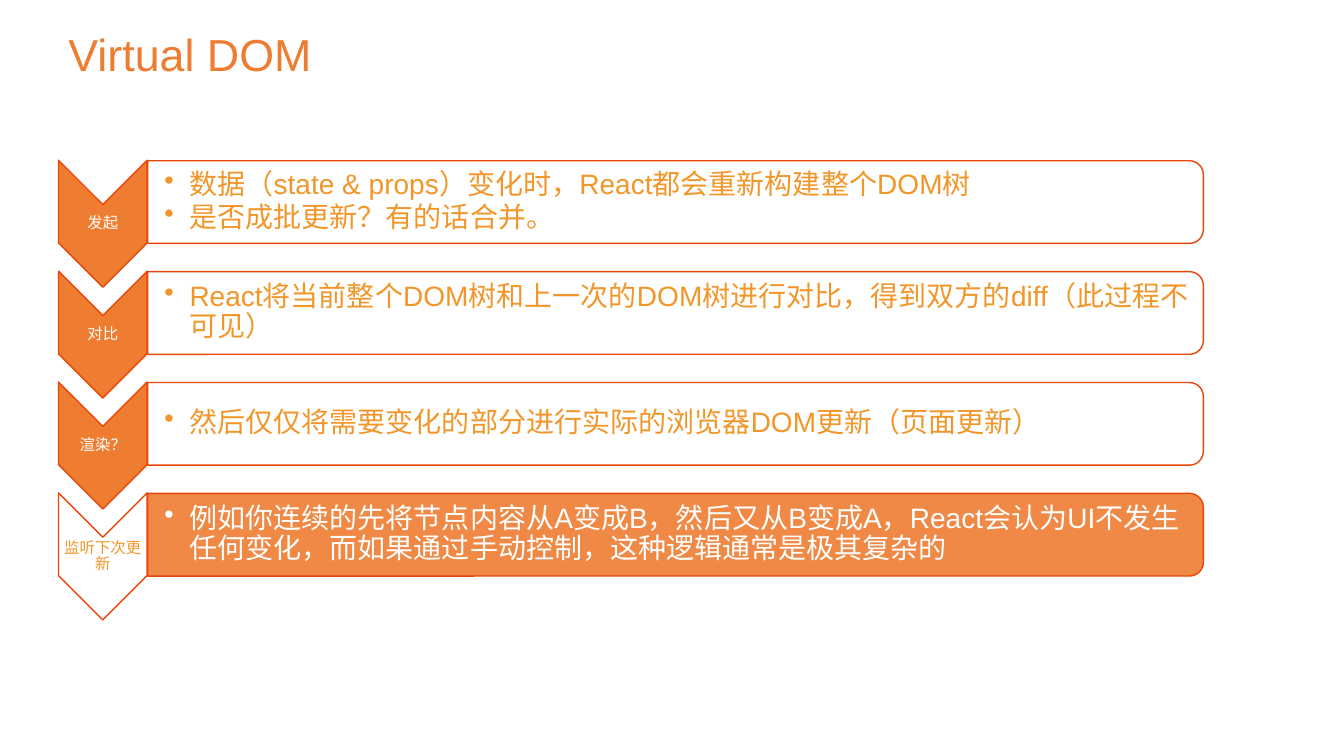
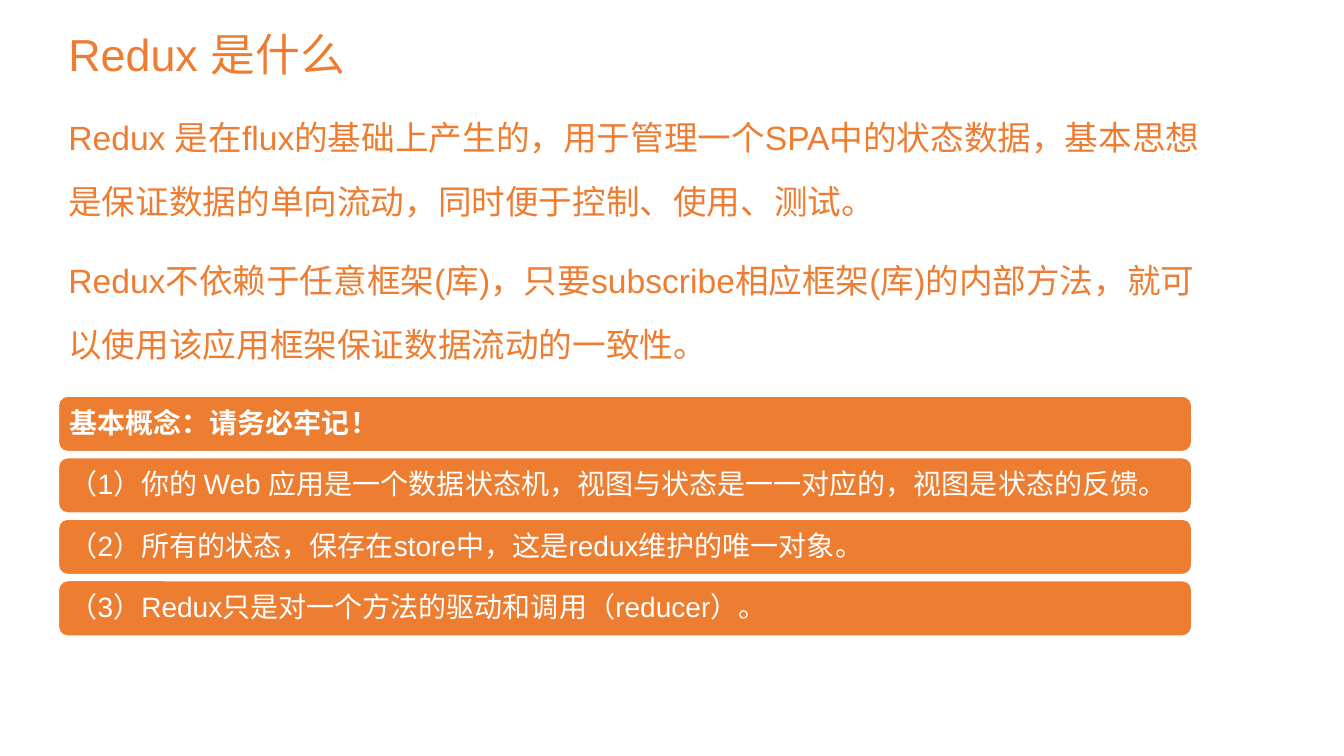
from dataclasses import dataclass

import lxml.etree
import pptx
import pptx.dml.color
import pptx.enum.lang
import pptx.enum.shapes
import pptx.enum.text
import pptx.oxml.ns
import pptx.util

SCALE = 9144  # EMU in one px, 100 px to the inch
FONT = "Arial"
HEX = {
    "main": "EE7D31",
    "row": "ED7D31",
    "edge": "E84709",
    "note": "F29629",
    "white": "FFFFFF",
}
SHAPE = pptx.enum.shapes.MSO_SHAPE
ALIGN = pptx.enum.text.PP_ALIGN
ANCHOR = pptx.enum.text.MSO_ANCHOR


@dataclass(frozen=True)
class Box:
    left: int
    top: int
    width: int
    height: int

    def emu(self) -> list[int]:
        return [n * SCALE for n in (self.left, self.top, self.width, self.height)]

    def turned(self) -> "Box":
        """The frame that fills this box once rotated by 90 degrees."""
        shift = (self.width - self.height) // 2
        return Box(self.left + shift, self.top - shift, self.height, self.width)


@dataclass(frozen=True)
class Step:
    label: str
    notes: tuple[str, ...]
    arrow: str = "main"
    ink: str = "white"
    bar: str = "white"
    text: str = "note"


STEPS = (
    Step("发起", ("数据（state & props）变化时，React都会重新构建整个DOM树",
                "是否成批更新？有的话合并。")),
    Step("对比", ("React将当前整个DOM树和上一次的DOM树进行对比，得到双方的diff（此过程不可见）",)),
    Step("渲染？", ("然后仅仅将需要变化的部分进行实际的浏览器DOM更新（页面更新）",)),
    Step("监听下次更新",
         ("例如你连续的先将节点内容从A变成B，然后又从B变成A，React会认为UI不发生任何变化，"
          "而如果通过手动控制，这种逻辑通常是极其复杂的",),
         arrow="white", ink="note", bar="main", text="white"),
)
INTRO = (
    "Redux 是在flux的基础上产生的，用于管理一个SPA中的状态数据，基本思想是保证数据的单向流动，"
    "同时便于控制、使用、测试。",
    "Redux不依赖于任意框架(库)，只要subscribe相应框架(库)的内部方法，"
    "就可以使用该应用框架保证数据流动的一致性。",
)
ROWS = (
    "基本概念：请务必牢记！",
    "（1）你的 Web 应用是一个数据状态机，视图与状态是一一对应的，视图是状态的反馈。",
    "（2）所有的状态，保存在store中，这是redux维护的唯一对象。",
    "（3）Redux只是对一个方法的驱动和调用（reducer）。",
)


def tint(name: str) -> pptx.dml.color.RGBColor:
    return pptx.dml.color.RGBColor.from_string(HEX[name])


def mark(para) -> None:
    """Give a paragraph a hanging bullet."""
    props = para._p.get_or_add_pPr()
    props.set("marL", str(25 * SCALE))
    props.set("indent", str(-25 * SCALE))
    lxml.etree.SubElement(props, pptx.oxml.ns.qn("a:buChar")).set("char", "•")


def write(slide, box: Box, *lines: str, size: int, color: str = "main",
          bold: bool = False, bullet: bool = False, lead: float = 0.9,
          before: int = 0, after: int = 0, align=ALIGN.LEFT,
          anchor=ANCHOR.MIDDLE, pad: tuple[int, ...] = (10, 5, 10, 5)) -> None:
    frame = slide.shapes.add_textbox(*box.emu()).text_frame
    frame.word_wrap = True
    frame.vertical_anchor = anchor
    (frame.margin_left, frame.margin_top,
     frame.margin_right, frame.margin_bottom) = [n * SCALE for n in pad]
    for num, line in enumerate(lines):
        para = frame.add_paragraph() if num else frame.paragraphs[0]
        para.alignment = align
        para.line_spacing = lead
        para.space_before = pptx.util.Pt(before)
        para.space_after = pptx.util.Pt(after)
        if bullet:
            mark(para)
        run = para.add_run()
        run.text = line
        run.font.name = FONT
        run.font.size = pptx.util.Pt(size)
        run.font.bold = bold
        run.font.color.rgb = tint(color)
        run.font.language_id = pptx.enum.lang.MSO_LANGUAGE_ID.SIMPLIFIED_CHINESE


def draw(slide, kind, box: Box, fill: str, line: str,
         turn: bool = False, alpha: int = 100) -> None:
    frame = box.turned() if turn else box
    shape = slide.shapes.add_shape(kind, *frame.emu())
    shape.rotation = 90 if turn else 0
    shape.shadow.inherit = False
    shape.fill.solid()
    shape.fill.fore_color.rgb = tint(fill)
    shape.line.color.rgb = tint(line)
    shape.line.width = pptx.util.Pt(1)
    if alpha < 100:
        color = shape._element.spPr.find(".//" + pptx.oxml.ns.qn("a:srgbClr"))
        node = lxml.etree.SubElement(color, pptx.oxml.ns.qn("a:alpha"))
        node.set("val", str(alpha * 1000))


def start(deck, title: str):
    """Add a blank slide with the shared title."""
    slide = deck.slides.add_slide(deck.slide_layouts[6])
    write(slide, Box(58, 23, 514, 62), title, size=32, anchor=ANCHOR.BOTTOM)
    return slide


def flow(deck) -> None:
    slide = start(deck, "Virtual DOM")
    for num, step in enumerate(STEPS):
        top = 159 + 110 * num
        draw(slide, SHAPE.CHEVRON, Box(58, top, 88, 126), step.arrow, "edge",
             turn=True)
        write(slide, Box(58, top + 44, 88, 38), step.label, size=11,
              color=step.ink, align=ALIGN.CENTER, pad=(1, 1, 1, 1))
        draw(slide, SHAPE.ROUND_2_SAME_RECTANGLE, Box(147, top, 1047, 82),
             step.bar, "edge", turn=True, alpha=90)
        write(slide, Box(147, top + 4, 1043, 74), *step.notes, size=20,
              color=step.text, bullet=True, after=2, pad=(16, 1, 1, 1))


def basics(deck) -> None:
    slide = start(deck, "Redux 是什么")
    write(slide, Box(58, 87, 1150, 284), *INTRO, size=24, lead=1.6, before=10,
          anchor=ANCHOR.TOP)
    for num, row in enumerate(ROWS):
        top = 393 + 61 * num
        draw(slide, SHAPE.ROUNDED_RECTANGLE, Box(58, top, 1124, 55), "row", "white")
        write(slide, Box(61, top + 3, 1118, 50), row, size=20, color="white",
              bold=num == 0, pad=(8, 8, 8, 8))


def main() -> None:
    deck = pptx.Presentation()
    deck.slide_width = 1333 * SCALE
    deck.slide_height = 750 * SCALE
    flow(deck)
    basics(deck)
    deck.save("out.pptx")


if __name__ == "__main__":
    main()
